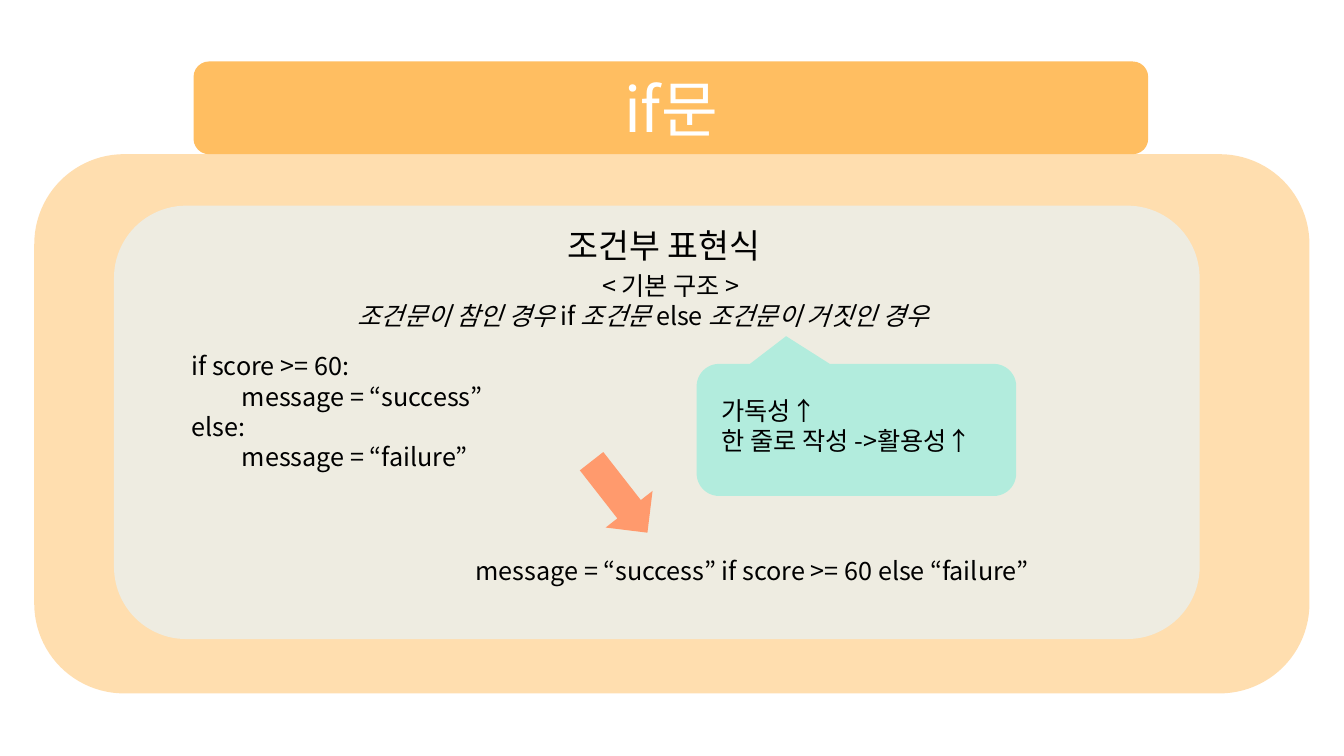
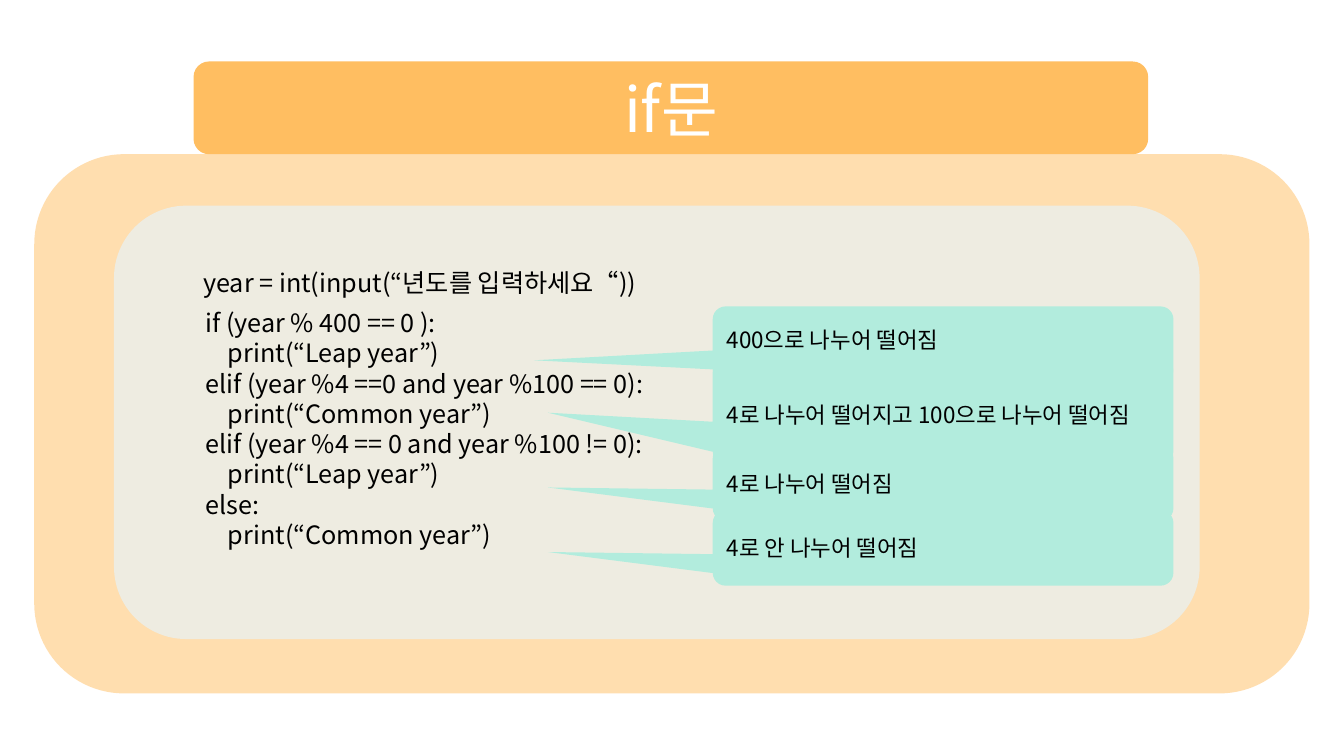
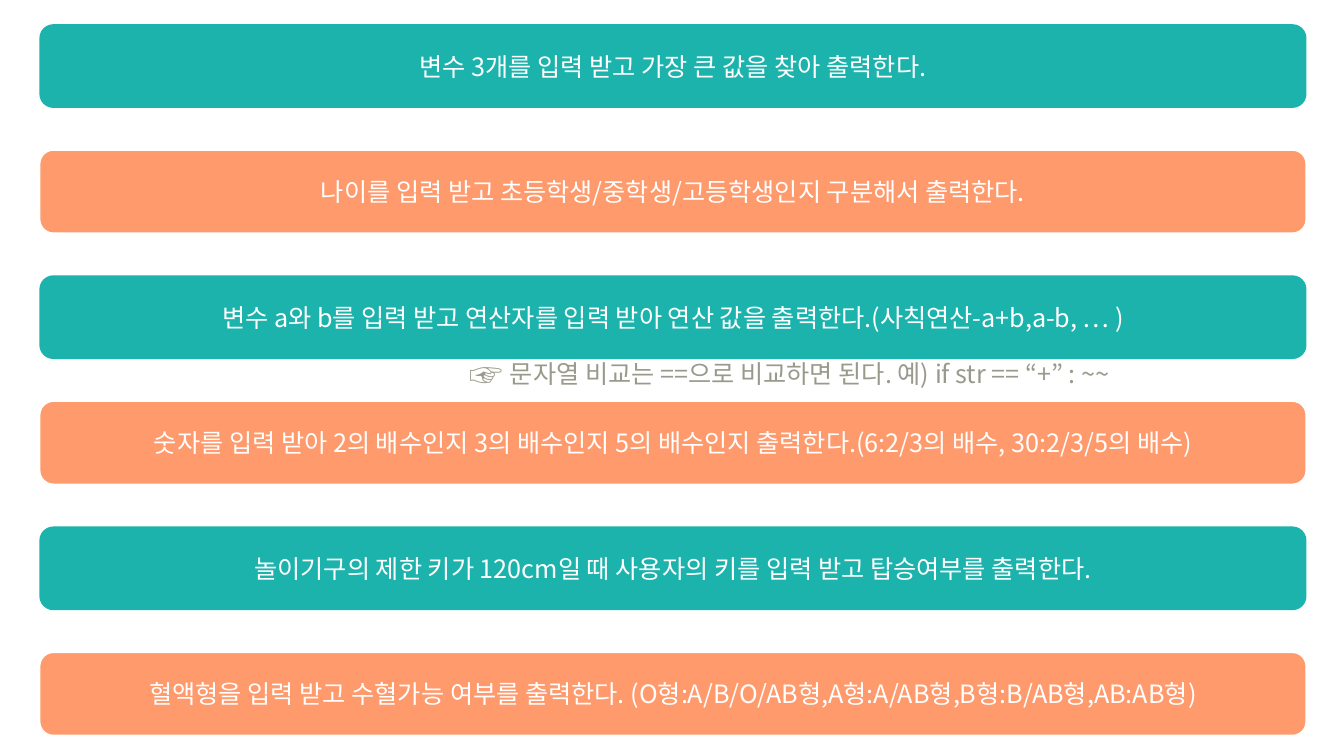
from dataclasses import dataclass
from typing import Any, NamedTuple, Sequence

from lxml import etree
from pptx import Presentation
from pptx import util as u
from pptx.dml.color import RGBColor
from pptx.enum import shapes, text
from pptx.oxml.ns import qn

SLIDE_W, SLIDE_H = u.Inches(13.333), u.Inches(7.5)
FONT = "Noto Sans CJK KR"
ORANGE, CREAM, MINT = "FFBE61", "EEECE1", "B2ECDD"
TEAL, CORAL, WHITE, BLACK, GREY = "1DB3AD", "FF9A6D", "FFFFFF", "000000", "9A9A8C"
KIND = shapes.MSO_SHAPE
CENTER = text.PP_ALIGN.CENTER


class Area(NamedTuple):
    """A rectangle in percent of the slide's width and height."""
    left: float
    top: float
    width: float
    height: float

    def emu(self) -> tuple[int, ...]:
        sides = (SLIDE_W, SLIDE_H, SLIDE_W, SLIDE_H)
        return tuple(round(share * side / 100) for share, side in zip(self, sides))


class Run(NamedTuple):
    words: str
    italic: bool = False


class Line(NamedTuple):
    runs: Sequence[Run]
    align: Any = None


@dataclass(frozen=True)
class Panel:
    area: Area
    fill: str
    kind: Any = KIND.ROUNDED_RECTANGLE
    alpha: int = 100
    rotation: int = 0
    adjust: tuple[float, ...] = ()
    outline: str = ""


@dataclass(frozen=True)
class Condition:
    """A callout explaining one branch, with its label."""
    top: float
    height: float
    tip: tuple[float, float]
    label_top: float
    label: str


@dataclass(frozen=True)
class Task:
    words: str
    fill: str
    outline: str


TITLE = Panel(Area(14.4, 8.13, 71.03, 12.27), ORANGE)
FRAME = Panel(Area(2.55, 20.4, 94.88, 71.33), ORANGE, alpha=50)
PAGE = Panel(Area(8.48, 27.2, 80.78, 57.33), CREAM)

CONDITIONS = (
    Condition(40.53, 10, (0.213, 0.888), 42.53, "400으로 나누어 떨어짐"),
    Condition(46.53, 15.87, (0.008, 0.858), 52.4,
              "4로 나누어 떨어지고 100으로 나누어 떨어짐"),
    Condition(58.93, 10, (0.055, 0.858), 61.47, "4로 나누어 떨어짐"),
    Condition(67.47, 10, (0.055, 0.858), 70, "4로 안 나누어 떨어짐"),
)
LEAP_YEAR_CODE = (
    "if (year % 400 == 0 ):",
    "    print(“Leap year”)",
    "elif (year %4 ==0 and year %100 == 0):",
    "    print(“Common year”)",
    "elif (year %4 == 0 and year %100 != 0):",
    "    print(“Leap year”)",
    "else:",
    "    print(“Common year”)",
)
TASKS = (
    "변수 3개를 입력 받고 가장 큰 값을 찾아 출력한다.",
    "나이를 입력 받고 초등학생/중학생/고등학생인지 구분해서 출력한다.",
    "변수 a와 b를 입력 받고 연산자를 입력 받아 연산 값을 출력한다.(사칙연산-a+b,a-b, … )",
    "숫자를 입력 받아 2의 배수인지 3의 배수인지 5의 배수인지 출력한다.(6:2/3의 배수, 30:2/3/5의 배수)",
    "놀이기구의 제한 키가 120cm일 때 사용자의 키를 입력 받고 탑승여부를 출력한다.",
    "혈액형을 입력 받고 수혈가능 여부를 출력한다. (O형:A/B/O/AB형,A형:A/AB형,B형:B/AB형,AB:AB형)",
)


def color(hex_code: str) -> RGBColor:
    return RGBColor.from_string(hex_code)


def assign(target: Any, values: dict[str, Any]) -> None:
    for key, value in values.items():
        setattr(target, key, value)


def plain(*lines: str, align: Any = None) -> list[Line]:
    return [Line([Run(words)], align) for words in lines]


def write(frame: Any, lines: Sequence[Line], size: float, ink: str) -> None:
    frame.word_wrap = True
    for index, line in enumerate(lines):
        paragraph = frame.paragraphs[0] if index == 0 else frame.add_paragraph()
        paragraph.alignment = line.align or text.PP_ALIGN.LEFT
        for part in line.runs:
            run = paragraph.add_run()
            run.text = part.words
            assign(run.font, {"name": FONT, "size": u.Pt(size), "italic": part.italic})
            run.font.color.rgb = color(ink)
            etree.SubElement(run.font._element, qn("a:ea"), typeface=FONT)


def add_text(slide: Any, area: Area, lines: Sequence[Line],
             size: float = 18, ink: str = BLACK) -> None:
    write(slide.shapes.add_textbox(*area.emu()).text_frame, lines, size, ink)


def add_panel(slide: Any, panel: Panel) -> Any:
    """Draw a panel; its area is the one it covers after a quarter turn."""
    left, top, width, height = panel.area.emu()
    if panel.rotation == 90:
        left, top = left + (width - height) // 2, top + (height - width) // 2
        width, height = height, width
    shape = slide.shapes.add_shape(panel.kind, left, top, width, height)
    shape.rotation = panel.rotation
    shape.shadow.inherit = False
    for index, value in enumerate(panel.adjust):
        shape.adjustments[index] = value
    shape.fill.solid()
    shape.fill.fore_color.rgb = color(panel.fill)
    if panel.alpha < 100:
        tint = shape._element.spPr.find(qn("a:solidFill"))[0]
        etree.SubElement(tint, qn("a:alpha"), val=str(panel.alpha * 1000))
    if panel.outline:
        shape.line.color.rgb = color(panel.outline)
        shape.line.width = u.Pt(1.5)
    else:
        shape.line.fill.background()
    return shape


def add_slide(deck: Any) -> Any:
    return deck.slides.add_slide(deck.slide_layouts[6])


def add_lesson(deck: Any) -> Any:
    """Add a slide with the title band and the two nested panels."""
    slide = add_slide(deck)
    title = add_panel(slide, TITLE)
    write(title.text_frame, plain("if문", align=CENTER), 44, WHITE)
    add_panel(slide, FRAME)
    add_panel(slide, PAGE)
    return slide


def build_expression(deck: Any) -> None:
    slide = add_lesson(deck)
    add_text(slide, Area(41.48, 29.07, 50, 6.67), plain("조건부 표현식"), 24)
    syntax = Line([Run("조건문이 참인 경우 ", True), Run("if "), Run("조건문 ", True),
                   Run("else "), Run("조건문이 거짓인 경우", True)])
    add_text(slide, Area(25.88, 35.07, 48.08, 9.47),
             plain("< 기본 구조 >", align=CENTER) + [syntax])
    add_text(slide, Area(13.5, 45.73, 36.53, 17.47),
             plain("if score >= 60:", "\tmessage = “success”",
                   "else:", "\tmessage = “failure”"))
    add_text(slide, Area(34.65, 72.8, 50.78, 5.33),
             plain("message = “success” if score >= 60 else “failure”"))
    add_panel(slide, Panel(Area(43.88, 59.73, 4.43, 12), CORAL, KIND.DOWN_ARROW,
                           rotation=322))
    add_panel(slide, Panel(Area(51.83, 48.13, 23.78, 17.47), MINT,
                           KIND.ROUNDED_RECTANGULAR_CALLOUT, rotation=180,
                           adjust=(0.22, 0.71, 0.17)))
    add_text(slide, Area(52.95, 51.6, 22.8, 9.47),
             plain("가독성↑", "한 줄로 작성 ->활용성↑"))


def build_leap_year(deck: Any) -> None:
    slide = add_lesson(deck)
    add_text(slide, Area(14.4, 34.67, 36, 5.33),
             plain("year = int(input(“년도를 입력하세요“))"))
    for item in CONDITIONS:
        add_panel(slide, Panel(Area(53.03, item.top, 34.28, item.height), MINT,
                               KIND.ROUNDED_RECTANGULAR_CALLOUT, rotation=90,
                               adjust=(*item.tip, 0.17)))
        add_text(slide, Area(53.33, item.label_top, 34.28, 4.93), plain(item.label), 16)
    add_text(slide, Area(14.55, 40, 39.9, 33.6), plain(*LEAP_YEAR_CODE))


def build_tasks(deck: Any) -> None:
    slide = add_slide(deck)
    first_top, pitch = 3.2, 16.61
    for row, words in enumerate(TASKS):
        fill, outline = ((TEAL, ""), (CORAL, WHITE))[row % 2]
        bar = add_panel(slide, Panel(Area(2.93, first_top + row * pitch, 94.28, 11.07),
                                     fill, outline=outline))
        write(bar.text_frame, plain(words, align=CENTER), 18, WHITE)
    add_text(slide, Area(37.2, 46.8, 60, 5.33),
             plain("문자열 비교는 ==으로 비교하면 된다. 예) if str == “+” : ~~"), ink=GREY)
    add_text(slide, Area(34.2, 46.13, 3, 6.67), plain("☞"), 24, GREY)


def main() -> None:
    deck = Presentation()
    assign(deck, {"slide_width": SLIDE_W, "slide_height": SLIDE_H})
    for build in (build_expression, build_leap_year, build_tasks):
        build(deck)
    deck.save("out.pptx")


if __name__ == "__main__":
    main()
